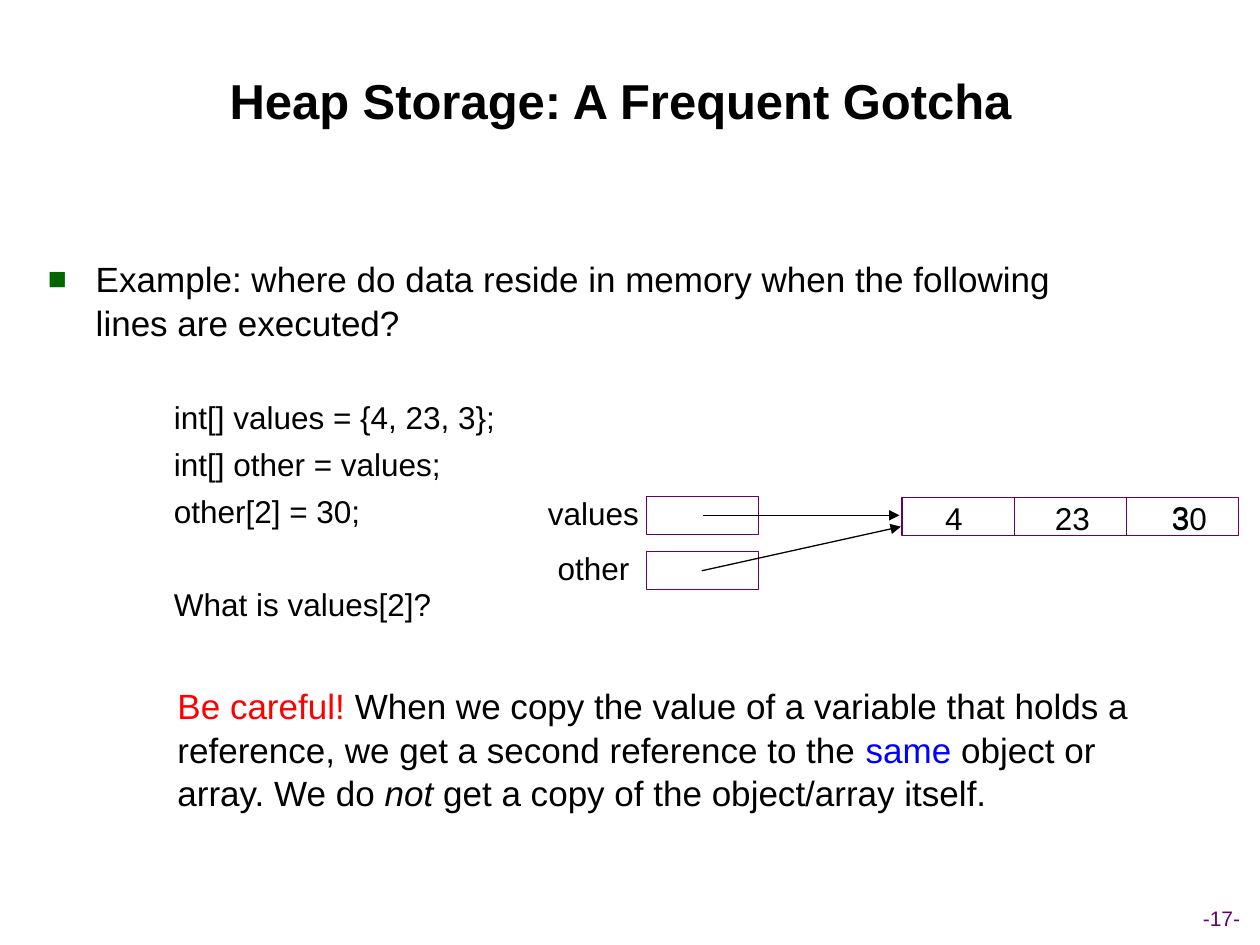
from lxml.etree import SubElement
from pptx import Presentation
from pptx.dml.color import RGBColor
from pptx.enum.shapes import MSO_CONNECTOR, MSO_SHAPE
from pptx.enum.text import MSO_ANCHOR, MSO_AUTO_SIZE, PP_ALIGN
from pptx.oxml.ns import qn
from pptx.util import Inches, Pt

BLACK = RGBColor(0x00, 0x00, 0x00)
RED = RGBColor(0xFF, 0x00, 0x00)
BLUE = RGBColor(0x00, 0x00, 0xFF)
PURPLE = RGBColor(0x66, 0x00, 0x66)
GREEN = RGBColor(0x00, 0x66, 0x00)
CELL_W, CELL_H = 0.89, 0.3
LINE_SPACING = 1.04


def place(sp, x, y, w, h):
    """Move and size a shape in inches."""
    sp.left, sp.top, sp.width, sp.height = (Inches(v) for v in (x, y, w, h))


def add_run(p, text, size, color=BLACK, bold=False, italic=False):
    """Append one formatted Arial run to a paragraph."""
    r = p.add_run()
    r.text = text
    f = r.font
    f.name, f.size, f.bold, f.italic = "Arial", Pt(size), bold, italic
    f.color.rgb = color


def set_indent(p, left, first, bullet=None):
    """Set the paragraph indent and an optional green bullet."""
    pPr = p._p.get_or_add_pPr()
    pPr.set("marL", str(Inches(left)))
    pPr.set("indent", str(Inches(first)))
    if bullet is None:
        SubElement(pPr, qn("a:buNone"))
        return
    clr = SubElement(pPr, qn("a:buClr"))
    SubElement(clr, qn("a:srgbClr"), val=str(GREEN))
    SubElement(pPr, qn("a:buSzPct"), val="90000")
    SubElement(pPr, qn("a:buFont"), typeface="Arial")
    SubElement(pPr, qn("a:buChar"), char=bullet)


def fill_title(sp):
    """Write the slide title."""
    place(sp, 0.29, 0.32, 9.27, 0.95)
    tf = sp.text_frame
    tf.vertical_anchor = MSO_ANCHOR.MIDDLE
    p = tf.paragraphs[0]
    p.alignment = PP_ALIGN.CENTER
    add_run(p, "Heap Storage: A Frequent Gotcha", 28, bold=True)


def fill_body(sp):
    """Write the example question and its code lines."""
    place(sp, 0.28, 1.58, 8.38, 5.25)
    tf = sp.text_frame
    tf.auto_size = MSO_AUTO_SIZE.NONE
    tf.vertical_anchor = MSO_ANCHOR.TOP
    tf.margin_top = Inches(0.45)
    p = tf.paragraphs[0]
    p.line_spacing, p.space_before = LINE_SPACING, Pt(0)
    set_indent(p, 0.38, -0.38, "■")
    add_run(p, "Example: where do data reside in memory when the following "
               "lines are executed?", 20)
    code = [("int[] values = {4, 23, 3};", 30.6),
            ("int[] other = values;", 4.5),
            ("other[2] = 30;", 4.5),
            ("What is values[2]?", 30.6)]
    for text, before in code:
        p = tf.add_paragraph()
        p.level = 2
        p.line_spacing, p.space_before = LINE_SPACING, Pt(before)
        set_indent(p, 1.25, -0.25)
        add_run(p, text, 18)


def add_label(s, text, x, y, w, h=0.4, size=18, color=BLACK):
    """Add a centred one-line label."""
    sp = s.shapes.add_textbox(Inches(x), Inches(y), Inches(w), Inches(h))
    tf = sp.text_frame
    tf.word_wrap = False
    tf.vertical_anchor = MSO_ANCHOR.MIDDLE
    p = tf.paragraphs[0]
    p.alignment = PP_ALIGN.CENTER
    add_run(p, text, size, color)


def add_cell(s, x, y):
    """Add an outlined memory cell."""
    sp = s.shapes.add_shape(MSO_SHAPE.RECTANGLE, Inches(x), Inches(y),
                            Inches(CELL_W), Inches(CELL_H))
    sp.shadow.inherit = False
    sp.fill.background()
    sp.line.color.rgb = PURPLE
    sp.line.width = Pt(0.75)


def add_arrow(s, x1, y1, x2, y2):
    """Add a reference arrow."""
    c = s.shapes.add_connector(MSO_CONNECTOR.STRAIGHT, Inches(x1), Inches(y1),
                               Inches(x2), Inches(y2))
    c.line.color.rgb = BLACK
    c.line.width = Pt(0.75)
    SubElement(c.line._get_or_add_ln(), qn("a:tailEnd"), type="triangle")
    SubElement(c._element.spPr, qn("a:effectLst"))


def add_warning(s):
    """Add the closing note on copied references."""
    sp = s.shapes.add_textbox(Inches(1.31), Inches(5.37), Inches(7.88), Inches(1.44))
    tf = sp.text_frame
    tf.word_wrap = True
    p = tf.paragraphs[0]
    p.line_spacing = LINE_SPACING
    add_run(p, "Be careful!", 20, RED)
    add_run(p, " When we copy the value of a variable that holds a reference, "
               "we get a second reference to the ", 20)
    add_run(p, "same", 20, BLUE)
    add_run(p, " object or array. We do ", 20)
    add_run(p, "not ", 20, italic=True)
    add_run(p, "get a copy of the object/array itself.", 20)


def main():
    """Build the slide and save it."""
    prs = Presentation()
    prs.slide_width, prs.slide_height = Inches(10), Inches(7.5)
    s = prs.slides.add_slide(prs.slide_layouts[1])
    fill_title(s.shapes.title)
    fill_body(s.placeholders[1])
    add_warning(s)
    for name, y in (("values", 3.94), ("other", 4.38)):
        add_cell(s, 5.13, y)
        add_label(s, name, 4.25, y - 0.07, 0.92)
    for i in range(3):
        add_cell(s, 7.16 + i * CELL_W, 3.95)
    for text, x, y, w in (("4", 7.4, 3.91, 0.34), ("23", 8.27, 3.91, 0.48),
                          ("3", 9.2, 3.9, 0.34), ("30", 9.2, 3.91, 0.48)):
        add_label(s, text, x, y, w)
    add_arrow(s, 5.58, 4.09, 7.14, 4.09)
    add_arrow(s, 5.57, 4.53, 7.15, 4.18)
    add_label(s, "-17-", 9.16, 7.14, 1.07, 0.3, 12, PURPLE)
    prs.save("out.pptx")


if __name__ == "__main__":
    main()
